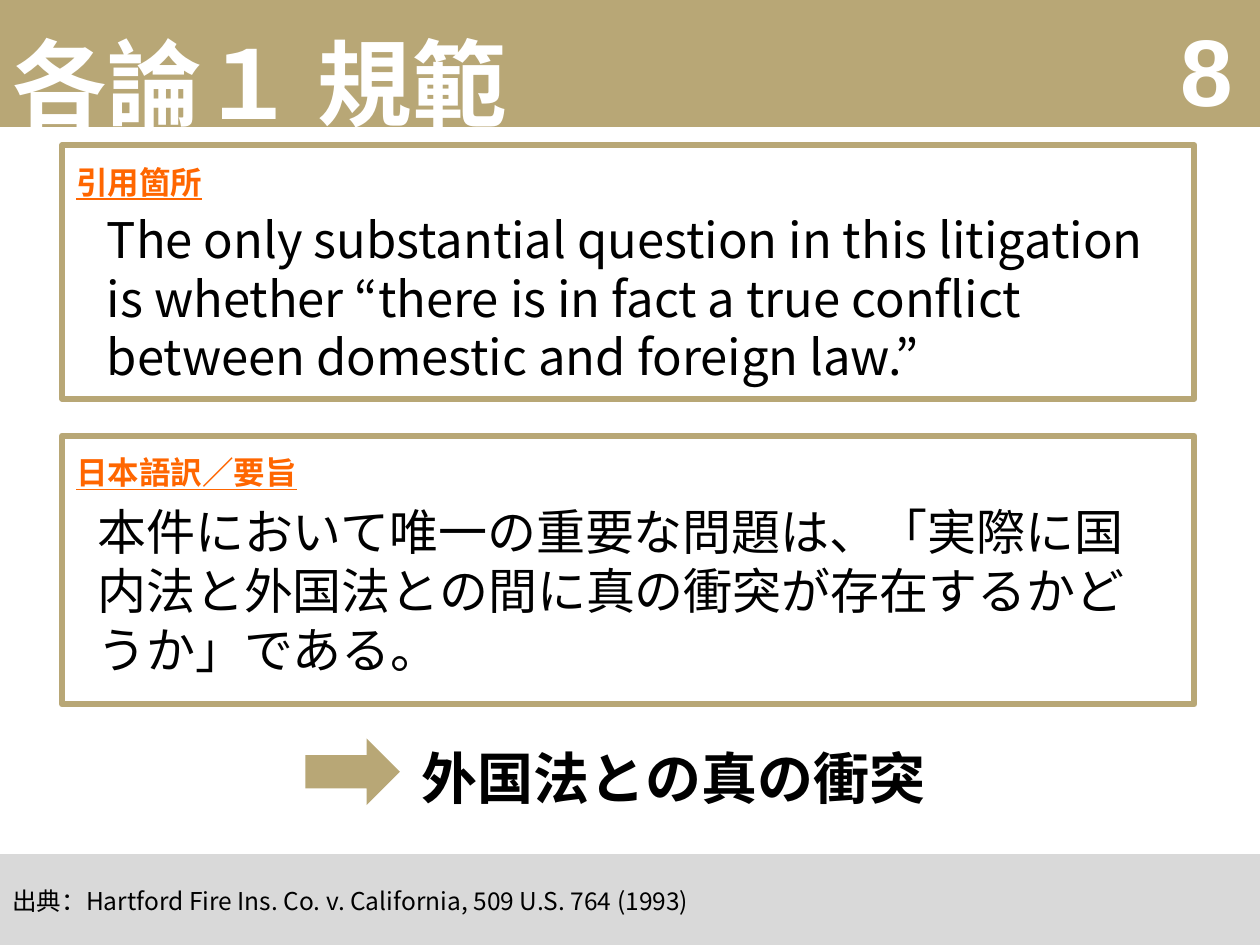
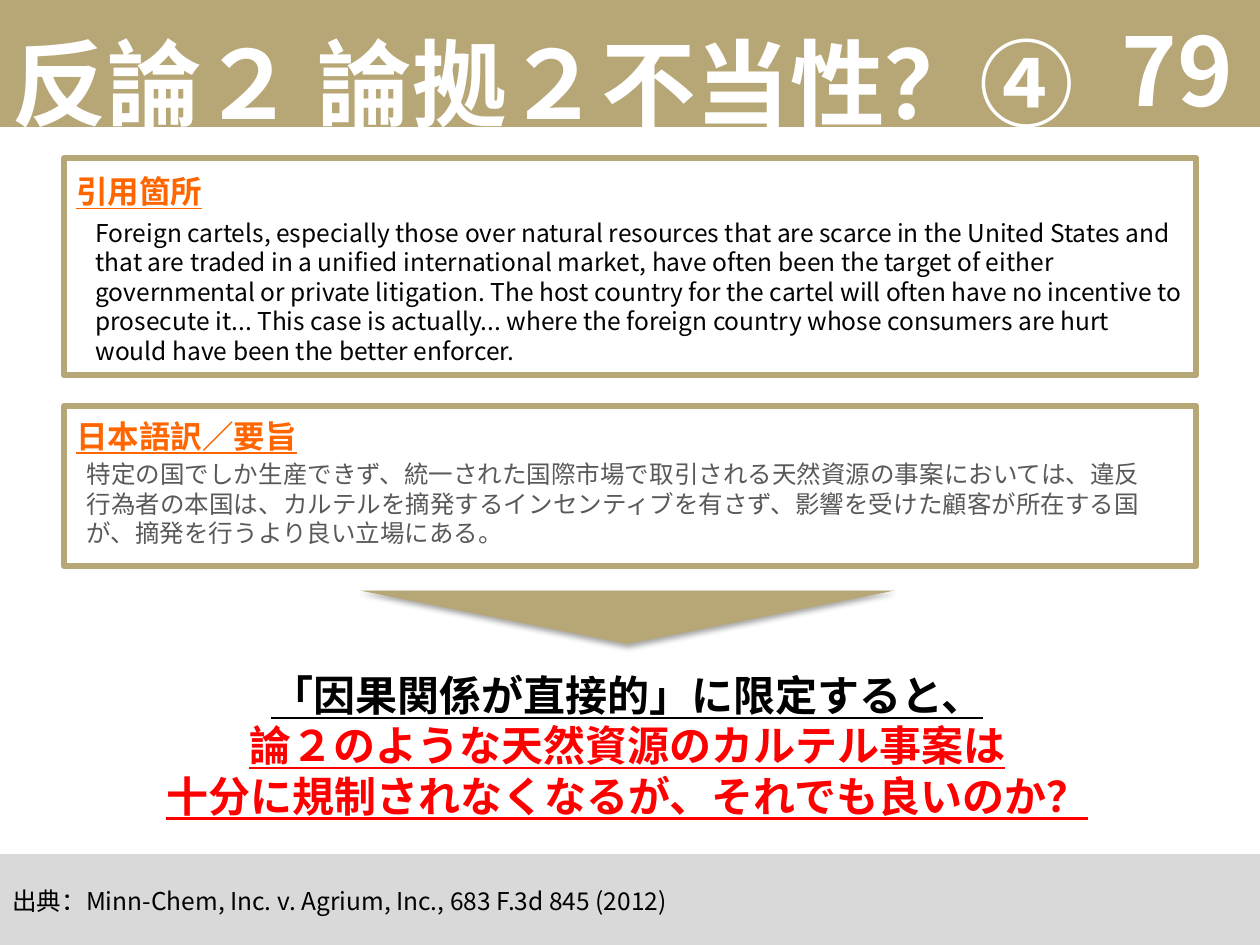
from dataclasses import dataclass
from lxml.etree import SubElement as Sub
from pptx import Presentation
from pptx.dml.color import RGBColor as RGB
from pptx.enum.shapes import MSO_SHAPE as Shape
from pptx.enum.text import MSO_ANCHOR as Anchor, MSO_AUTO_SIZE as Auto, PP_ALIGN as Align
from pptx.oxml.ns import qn
from pptx.util import Pt


@dataclass(frozen=True)
class Theme:
    gold: str = "B8A776"
    gray: str = "D9D9D9"
    orange: str = "FF6600"
    white: str = "FFFFFF"
    black: str = "000000"
    soft: str = "595959"
    red: str = "FF0000"
    sans: str = "Noto Sans CJK JP"
    head: str = "Karla"
    arial: str = "Arial"
    title: int = 54
    label: int = 18
    note: int = 14
    edge: float = 3.5


T = Theme()
WIDE, HIGH = 720, 540
BAND = (0, 0, WIDE, 72.5)
TITLE = (0, 1.5, 796, 90)
NUMBER = (543.5, 25, 168, 29)
FOOT = (0, 488, WIDE, 53.5)
LABEL = (36.5, 625, 29)
NAMES = ("引用箇所", "日本語訳／要旨")

SLIDES = [
    dict(
        title=[("各論１ 規範", T.head)],
        number=("8", T.arial),
        size=28,
        panels=[
            dict(frame=(35.5, 83, 647, 145), label=89.5, box=(54, 116, 609, 109), hue=T.black,
                 text="The only substantial question in this litigation is whether “there is in fact "
                      "a true conflict between domestic and foreign law.”"),
            dict(frame=(35.5, 249, 647, 153.5), label=255.5, box=(48.5, 283, 626, 109), hue=T.black,
                 text="本件において唯一の重要な問題は、「実際に国内法と外国法との間に真の衝突が"
                      "存在するかどうか」である。"),
        ],
        arrow=dict(kind=Shape.RIGHT_ARROW, box=(174.5, 422, 54, 38), turn=0, shade=False),
        point=dict(box=(131, 421.5, 508, 46), size=32, line=False,
                   paras=[[("外国法との真の衝突", T.black)]]),
        source="Hartford Fire Ins. Co. v. California, 509 U.S. 764 (1993)",
    ),
    dict(
        title=[("反論２ ", T.sans), ("論拠２不当性？④", T.head)],
        number=("79", T.sans),
        size=14,
        panels=[
            dict(frame=(36.5, 90.5, 647, 124), label=95, box=(47.5, 121, 636, 92), hue=T.black,
                 text="Foreign cartels, especially those over natural resources that are scarce in the "
                      "United States and that are traded in a unified international market, have often "
                      "been the target of either governmental or private litigation. The host country "
                      "for the cartel will often have no incentive to prosecute it... This case is "
                      "actually... where the foreign country whose consumers are hurt would have been "
                      "the better enforcer."),
            dict(frame=(36.5, 232, 647, 91.5), label=234.5, box=(42.5, 259, 620, 64), hue=T.soft,
                 text="特定の国でしか生産できず、統一された国際市場で取引される天然資源の事案においては、"
                      "違反行為者の本国は、カルテルを摘発するインセンティブを有さず、影響を受けた顧客が"
                      "所在する国が、摘発を行うより良い立場にある。"),
        ],
        arrow=dict(kind=Shape.ISOSCELES_TRIANGLE, box=(206, 337.5, 305, 30.5), turn=180, shade=True),
        point=dict(box=(78.5, 379, 560, 94), size=24, line=True,
                   paras=[[("「因果関係が直接的」に限定すると、", T.black),
                           ("論２のような天然資源のカルテル事案は", T.red)],
                          [("十分に規制されなくなるが、それでも良いのか？", T.red)]]),
        source="Minn-Chem, Inc. v. Agrium, Inc., 683 F.3d 845 (2012)",
    ),
]


def face(font, name):
    font.name = name
    Sub(font._rPr, qn("a:ea"), typeface=T.sans)


def style(para, size, hue=None, name=T.sans, bold=False, line=False, align=Align.LEFT):
    para.alignment = align
    font = para.font
    font.size, font.bold, font.underline = Pt(size), bold, line
    if hue:
        font.color.rgb = RGB.from_string(hue)
    if name:
        face(font, name)


def text(slide, box, words, size, hue, anchor=Anchor.TOP, **look):
    frame = slide.shapes.add_textbox(*map(Pt, box)).text_frame
    frame.word_wrap = True
    frame.vertical_anchor = anchor
    frame.text = words
    style(frame.paragraphs[0], size, hue, **look)


def block(slide, kind, box, fill=None, edge=None):
    shape = slide.shapes.add_shape(kind, *map(Pt, box))
    shape.shadow.inherit = False
    if fill:
        shape.fill.solid()
        shape.fill.fore_color.rgb = RGB.from_string(fill)
    else:
        shape.fill.background()
    if edge:
        shape.line.color.rgb = RGB.from_string(edge)
        shape.line.width = Pt(T.edge)
    else:
        shape.line.fill.background()
    return shape


def shade(shape):
    effects = shape._element.spPr.find(qn("a:effectLst"))
    outer = Sub(effects, qn("a:outerShdw"), blurRad=str(Pt(3.1)), dist=str(Pt(1.8)),
                dir="5400000", rotWithShape="0")
    tint = Sub(outer, qn("a:srgbClr"), val=T.black)
    Sub(tint, qn("a:alpha"), val="35000")


def head(slide, runs):
    title = slide.shapes.title
    title.left, title.top, title.width, title.height = map(Pt, TITLE)
    frame = title.text_frame
    frame.auto_size = Auto.NONE
    frame.word_wrap = True
    frame.vertical_anchor = Anchor.MIDDLE
    para = frame.paragraphs[0]
    style(para, T.title, T.white, name=None, bold=True)
    for words, name in runs:
        run = para.add_run()
        run.text = words
        face(run.font, name)


def foot(slide, source):
    bar = block(slide, Shape.RECTANGLE, FOOT, T.gray)
    frame = bar.text_frame
    frame.vertical_anchor = Anchor.MIDDLE
    frame.text = "出典：" + source
    style(frame.paragraphs[0], T.note, T.black)


def panel(slide, name, part, size):
    left, wide, high = LABEL
    block(slide, Shape.RECTANGLE, part["frame"], edge=T.gold)
    text(slide, (left, part["label"], wide, high), name, T.label, T.orange, bold=True, line=True)
    text(slide, part["box"], part["text"], size, part["hue"])


def point(slide, box, size, line, paras):
    frame = slide.shapes.add_textbox(*map(Pt, box)).text_frame
    frame.word_wrap = True
    for i, lines in enumerate(paras):
        para = frame.add_paragraph() if i else frame.paragraphs[0]
        style(para, size, bold=True, line=line, align=Align.CENTER)
        for j, (words, hue) in enumerate(lines):
            if j:
                para.add_line_break()
            run = para.add_run()
            run.text = words
            run.font.color.rgb = RGB.from_string(hue)


def arrow(slide, kind, box, turn, shade_on):
    shape = block(slide, kind, box, T.gold)
    shape.rotation = turn
    if shade_on:
        shade(shape)


def build(deck, layout, data):
    slide = deck.slides.add_slide(layout)
    head(slide, data["title"])
    number, name = data["number"]
    text(slide, NUMBER, number, T.title, T.white, Anchor.MIDDLE,
         name=name, bold=True, align=Align.RIGHT)
    for label, part in zip(NAMES, data["panels"]):
        panel(slide, label, part, data["size"])
    mark = data["arrow"]
    arrow(slide, mark["kind"], mark["box"], mark["turn"], mark["shade"])
    point(slide, **data["point"])
    foot(slide, data["source"])
    return slide


def main():
    deck = Presentation()
    deck.slide_width, deck.slide_height = Pt(WIDE), Pt(HIGH)
    layout = deck.slide_layouts[5]
    slides = [build(deck, layout, data) for data in SLIDES]
    band = block(slides[0], Shape.RECTANGLE, BAND, T.gold)
    layout.shapes._spTree.insert(2, band._element)
    deck.save("out.pptx")


if __name__ == "__main__":
    main()
